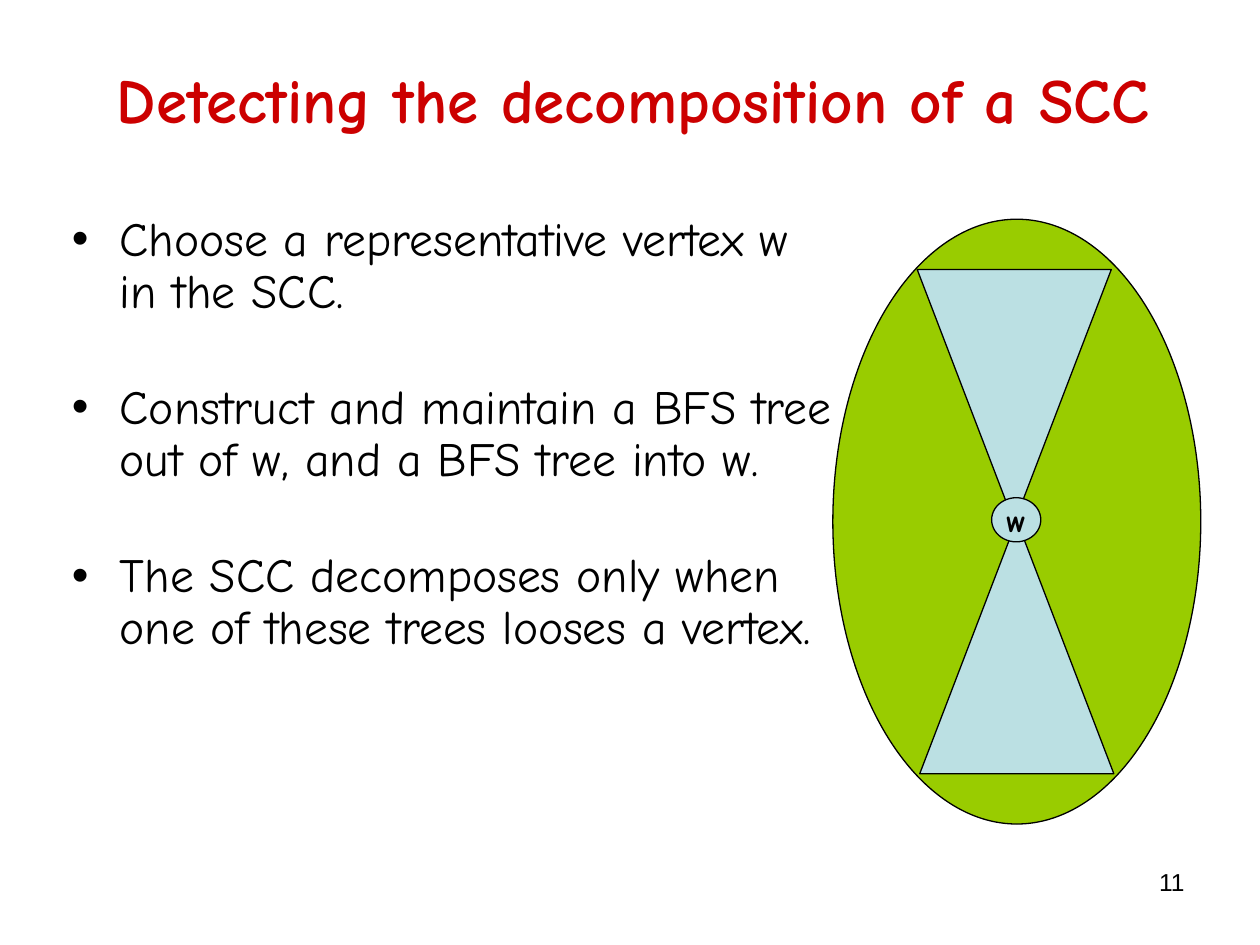
from pptx import Presentation
from pptx.dml.color import RGBColor
from pptx.enum.shapes import MSO_SHAPE
from pptx.enum.text import MSO_ANCHOR, MSO_AUTO_SIZE, PP_ALIGN
from pptx.util import Inches, Pt

OVAL = MSO_SHAPE.OVAL
CONE = MSO_SHAPE.ISOSCELES_TRIANGLE
MIDDLE, TOP = MSO_ANCHOR.MIDDLE, MSO_ANCHOR.TOP
CENTER, LEFT, RIGHT = PP_ALIGN.CENTER, PP_ALIGN.LEFT, PP_ALIGN.RIGHT
FIXED = MSO_AUTO_SIZE.NONE
WIDE, HIGH = Inches(10), Inches(7.5)
HAND, PLAIN = "Comic Neue", "Arial"
BLACK, RED, GREEN, BLUE = "000000", "CC0000", "99CC00", "BBE0E3"
POINTS = [
    "Choose a representative vertex w in the SCC.",
    "Construct and maintain a BFS tree out of w, and a BFS tree into w.",
    "The SCC decomposes only when one of these trees looses a vertex.",
]


def color(code):
    return RGBColor.from_string(code)


def area(left, top, width, height):
    shares = ((left, WIDE), (top, HIGH), (width, WIDE), (height, HIGH))
    return [round(share * side / 100) for share, side in shares]


def place(item, box):
    item.left, item.top, item.width, item.height = area(*box)


def set_frame(item, anchor, wrap=True):
    frame = item.text_frame
    frame.auto_size = FIXED
    frame.word_wrap = wrap
    frame.vertical_anchor = anchor
    return frame


def add_run(para, text, size, align, font=HAND, tint=BLACK, bold=False):
    para.alignment = align
    run = para.add_run()
    run.text = text
    run.font.name = font
    run.font.size = Pt(size)
    run.font.bold = bold
    run.font.color.rgb = color(tint)


def add_title(slide, text, box):
    title = slide.shapes.title
    place(title, box)
    para = set_frame(title, MIDDLE).paragraphs[0]
    add_run(para, text, 36, CENTER, tint=RED, bold=True)


def add_list(slide, lines, box):
    body = slide.placeholders[1]
    place(body, box)
    frame = set_frame(body, TOP)
    for row, line in enumerate(lines):
        para = frame.add_paragraph() if row else frame.paragraphs[0]
        para.line_spacing = 0.9
        para.space_before = Pt(37.3 if row else 8)
        props = para._p.get_or_add_pPr()
        props.set("marL", str(Inches(0.38)))
        props.set("indent", str(-Inches(0.38)))
        add_run(para, line, 27.2, LEFT)


def add_form(slide, kind, box, fill, flip=False):
    form = slide.shapes.add_shape(kind, *area(*box))
    form.shadow.inherit = False
    form.fill.solid()
    form.fill.fore_color.rgb = color(fill)
    form.line.color.rgb = color(BLACK)
    form.line.width = Pt(0.74)
    if flip:
        form._element.spPr.xfrm.set("flipV", "1")
    return form


def add_number(slide, text, box):
    note = slide.shapes.add_textbox(*area(*box))
    para = set_frame(note, TOP).paragraphs[0]
    add_run(para, text, 14, RIGHT, font=PLAIN)


def main():
    deck = Presentation()
    deck.slide_width, deck.slide_height = WIDE, HIGH
    slide = deck.slides.add_slide(deck.slide_layouts[1])
    add_title(slide, "Detecting the decomposition of a SCC", (2.4, 3.33, 95.7, 14.13))
    add_form(slide, OVAL, (66.1, 23.2, 29.2, 64), GREEN)
    add_list(slide, POINTS, (4.7, 22.13, 63, 66))
    add_form(slide, CONE, (73, 55.07, 15.4, 26.8), BLUE)
    add_form(slide, CONE, (72.8, 28.53, 15.4, 26.8), BLUE, flip=True)
    node = add_form(slide, OVAL, (78.7, 52.67, 3.9, 4.67), BLUE)
    label = set_frame(node, MIDDLE, wrap=False).paragraphs[0]
    add_run(label, "w", 18, CENTER, bold=True)
    add_number(slide, "11", (71.7, 91.07, 23.3, 6.93))
    deck.save("out.pptx")


main()
